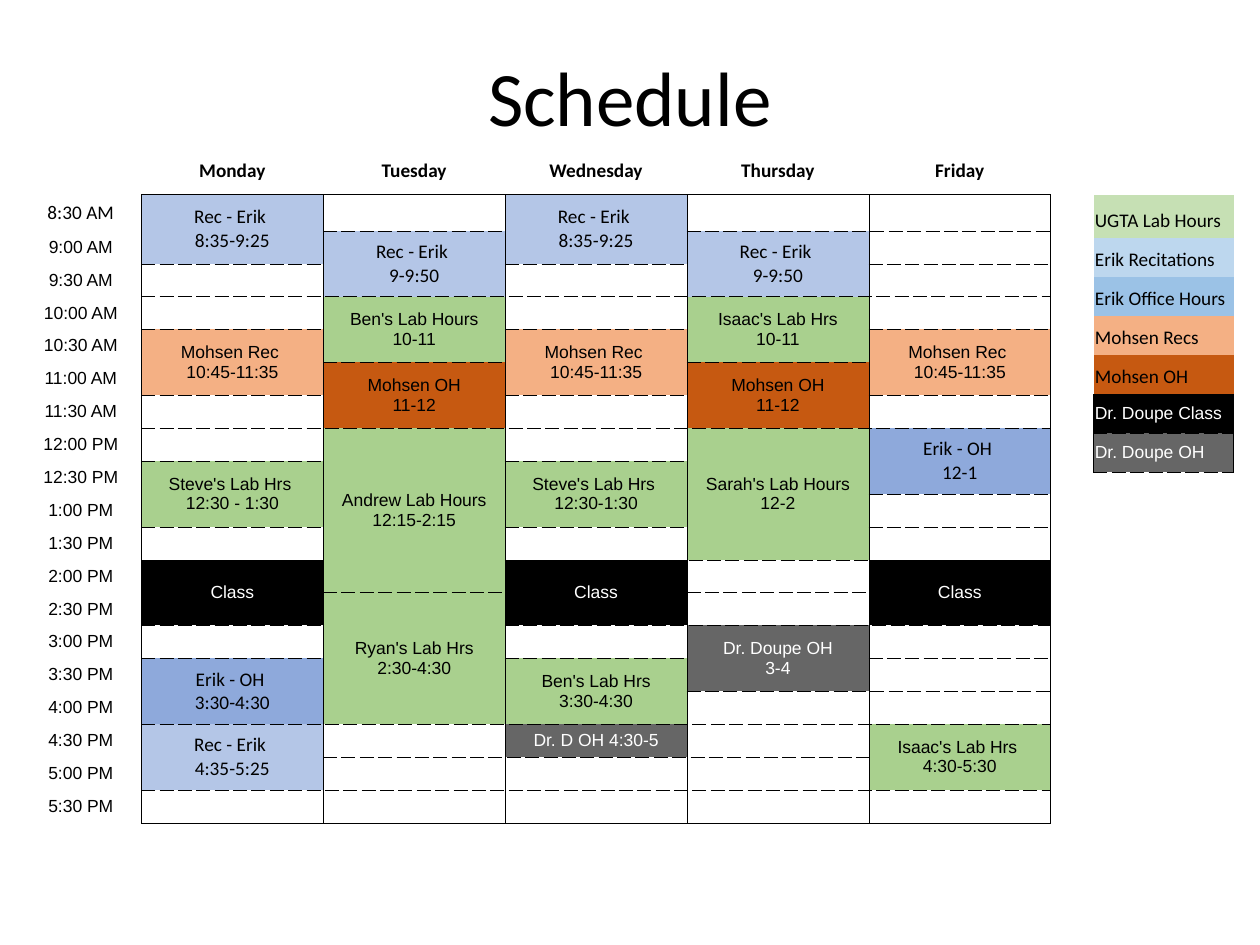
from itertools import product
from lxml.etree import SubElement
from pptx import Presentation
from pptx.dml.color import RGBColor
from pptx.enum.text import MSO_ANCHOR, PP_ALIGN
from pptx.oxml.ns import qn
from pptx.util import Emu, Inches, Pt

COLORS = {
    "black": "000000", "white": "FFFFFF", "lab": "A9D08E", "recitation": "B4C6E7",
    "office": "8EA9DB", "mohsen_rec": "F4B084", "mohsen_oh": "C65911",
    "class": "000000", "doupe_oh": "666666", "legend_lab": "C6E0B4",
    "legend_rec": "BDD7EE", "legend_office": "9BC2E6",
}
ARIAL = {"font": "Arial", "size": 10}
CALIBRI = {"font": "Calibri", "size": 11}
CALIBRI_KINDS = {"recitation", "office"}
WHITE_TEXT_KINDS = {"class", "doupe_oh"}
PLAIN_TABLE_STYLE = "{2D5ABB26-0587-4C30-8999-92F81FD0307C}"
GRID_BORDERS = {"L": "solid", "R": "solid", "T": "dash", "B": "dash"}

DAYS = ["Monday", "Tuesday", "Wednesday", "Thursday", "Friday"]
TIMES = [
    f"{(half // 2 - 1) % 12 + 1}:{half % 2 * 30:02d} {'AM' if half < 24 else 'PM'}"
    for half in range(17, 36)
]
EVENTS = [
    ("Monday", "8:30 AM", 2, "Rec - Erik \n8:35-9:25", "recitation"),
    ("Monday", "10:30 AM", 2, "Mohsen Rec \n10:45-11:35", "mohsen_rec"),
    ("Monday", "12:30 PM", 2, "Steve's Lab Hrs \n12:30 - 1:30", "lab"),
    ("Monday", "2:00 PM", 2, "Class", "class"),
    ("Monday", "3:30 PM", 2, "Erik - OH \n3:30-4:30", "office"),
    ("Monday", "4:30 PM", 2, "Rec - Erik \n4:35-5:25", "recitation"),
    ("Tuesday", "9:00 AM", 2, "Rec - Erik \n9-9:50", "recitation"),
    ("Tuesday", "10:00 AM", 2, "Ben's Lab Hours\n10-11", "lab"),
    ("Tuesday", "11:00 AM", 2, "Mohsen OH\n11-12", "mohsen_oh"),
    ("Tuesday", "12:00 PM", 5, "Andrew Lab Hours\n12:15-2:15", "lab"),
    ("Tuesday", "2:30 PM", 4, "Ryan's Lab Hrs\n2:30-4:30", "lab"),
    ("Wednesday", "8:30 AM", 2, "Rec - Erik \n8:35-9:25", "recitation"),
    ("Wednesday", "10:30 AM", 2, "Mohsen Rec \n10:45-11:35", "mohsen_rec"),
    ("Wednesday", "12:30 PM", 2, "Steve's Lab Hrs \n12:30-1:30", "lab"),
    ("Wednesday", "2:00 PM", 2, "Class", "class"),
    ("Wednesday", "3:30 PM", 2, "Ben's Lab Hrs\n3:30-4:30", "lab"),
    ("Wednesday", "4:30 PM", 1, "Dr. D OH 4:30-5", "doupe_oh"),
    ("Thursday", "9:00 AM", 2, "Rec - Erik \n9-9:50", "recitation"),
    ("Thursday", "10:00 AM", 2, "Isaac's Lab Hrs\n10-11", "lab"),
    ("Thursday", "11:00 AM", 2, "Mohsen OH\n11-12", "mohsen_oh"),
    ("Thursday", "12:00 PM", 4, "Sarah's Lab Hours\n12-2", "lab"),
    ("Thursday", "3:00 PM", 2, "Dr. Doupe OH\n3-4", "doupe_oh"),
    ("Friday", "10:30 AM", 2, "Mohsen Rec \n10:45-11:35", "mohsen_rec"),
    ("Friday", "12:00 PM", 2, "Erik - OH \n12-1", "office"),
    ("Friday", "2:00 PM", 2, "Class", "class"),
    ("Friday", "4:30 PM", 2, "Isaac's Lab Hrs \n4:30-5:30", "lab"),
]
LEGEND = [
    ("UGTA Lab Hours", "legend_lab"), ("Erik Recitations", "legend_rec"),
    ("Erik Office Hours", "legend_office"), ("Mohsen Recs", "mohsen_rec"),
    ("Mohsen OH", "mohsen_oh"), ("Dr. Doupe Class", "class"),
    ("Dr. Doupe OH", "doupe_oh"),
]


def write(frame, text, font="Calibri", size=11, color="black", bold=False,
          align=PP_ALIGN.CENTER):
    paragraph = frame.paragraphs[0]
    paragraph.alignment = align
    for index, line in enumerate(text.split("\n")):
        if index:
            paragraph.add_line_break()
        run = paragraph.add_run()
        run.text = line
        run.font.name = font
        run.font.size = Pt(size)
        run.font.bold = bold
        run.font.color.rgb = RGBColor.from_string(COLORS[color])


def fill_cell(cell, kind):
    cell.fill.solid()
    cell.fill.fore_color.rgb = RGBColor.from_string(COLORS[kind])


def set_borders(cell, borders):
    properties = cell._tc.get_or_add_tcPr()
    for side in "LRTB":
        if side in borders:
            line = SubElement(properties, qn(f"a:ln{side}"), w=str(Pt(0.23)))
            paint = SubElement(line, qn("a:solidFill"))
            SubElement(paint, qn("a:srgbClr"), val=COLORS["black"])
            SubElement(line, qn("a:prstDash"), val=borders[side])


def add_grid(slide, box, column_weights, row_weights):
    left, top, width, height = box
    table = slide.shapes.add_table(len(row_weights), len(column_weights), *box).table
    table.first_row = table.horz_banding = False
    table._tbl.tblPr.find(qn("a:tableStyleId")).text = PLAIN_TABLE_STYLE
    for column, weight in zip(table.columns, column_weights):
        column.width = Emu(int(width * weight / sum(column_weights)))
    for row, weight in zip(table.rows, row_weights):
        row.height = Emu(int(height * weight / sum(row_weights)))
    for cell in table.iter_cells():
        cell.margin_left = cell.margin_right = Inches(0.01)
        cell.margin_top = cell.margin_bottom = Pt(3.4)
        cell.vertical_anchor = MSO_ANCHOR.MIDDLE
    return table


def add_title(slide, box):
    title = slide.shapes.add_textbox(*box).text_frame
    title.word_wrap = True
    title.margin_top = Inches(0.09)
    write(title, "Schedule", size=44)


def add_calendar(slide, box):
    calendar = add_grid(slide, box, [0.96] + [1.44] * len(DAYS),
                        [1.49, 1.13] + [1] * (len(TIMES) - 1))
    last = len(TIMES)
    for row, column in product(range(1, last + 1), range(1, len(DAYS) + 1)):
        borders = dict(GRID_BORDERS)
        if row == 1:
            borders["T"] = "solid"
        if row == last:
            borders["B"] = "solid"
        set_borders(calendar.cell(row, column), borders)
    for column, day in enumerate(DAYS, 1):
        heading = calendar.cell(0, column)
        set_borders(heading, {"B": "solid"})
        write(heading.text_frame, day, bold=True, **CALIBRI)
    for row, time in enumerate(TIMES, 1):
        label = calendar.cell(row, 0)
        set_borders(label, {"R": "solid"})
        write(label.text_frame, time, **(CALIBRI if row == 1 else ARIAL))
    for day, start, slots, text, kind in EVENTS:
        row, column = TIMES.index(start) + 1, DAYS.index(day) + 1
        event = calendar.cell(row, column)
        if slots > 1:
            event.merge(calendar.cell(row + slots - 1, column))
        fill_cell(event, kind)
        write(event.text_frame, text,
              color="white" if kind in WHITE_TEXT_KINDS else "black",
              **(CALIBRI if kind in CALIBRI_KINDS else ARIAL))
    for cell in calendar.iter_cells():
        if not cell.text_frame.text:
            SubElement(cell.text_frame.paragraphs[0]._p, qn("a:endParaRPr"), sz="1000")


def add_legend(slide, box):
    legend = add_grid(slide, box, [1], [1.1] + [1] * (len(LEGEND) - 1))
    for row, (text, kind) in enumerate(LEGEND):
        entry = legend.cell(row, 0)
        dark = kind in WHITE_TEXT_KINDS
        if dark:
            set_borders(entry, GRID_BORDERS)
        else:
            entry.vertical_anchor = MSO_ANCHOR.BOTTOM
        fill_cell(entry, kind)
        write(entry.text_frame, text, color="white" if dark else "black",
              align=PP_ALIGN.LEFT, **(ARIAL if dark else CALIBRI))


def main():
    deck = Presentation()
    deck.slide_width, deck.slide_height = Inches(10), Inches(7.5)
    slide = deck.slides.add_slide(deck.slide_layouts[6])

    def share(left, top, width, height):
        return (Emu(int(deck.slide_width * left / 100)),
                Emu(int(deck.slide_height * top / 100)),
                Emu(int(deck.slide_width * width / 100)),
                Emu(int(deck.slide_height * height / 100)))

    add_title(slide, share(5, 4, 90, 16.67))
    add_calendar(slide, share(1.6, 15.5, 81.8, 70.25))
    add_legend(slide, share(86.8, 20.67, 11.1, 29.33))
    deck.save("out.pptx")


if __name__ == "__main__":
    main()
